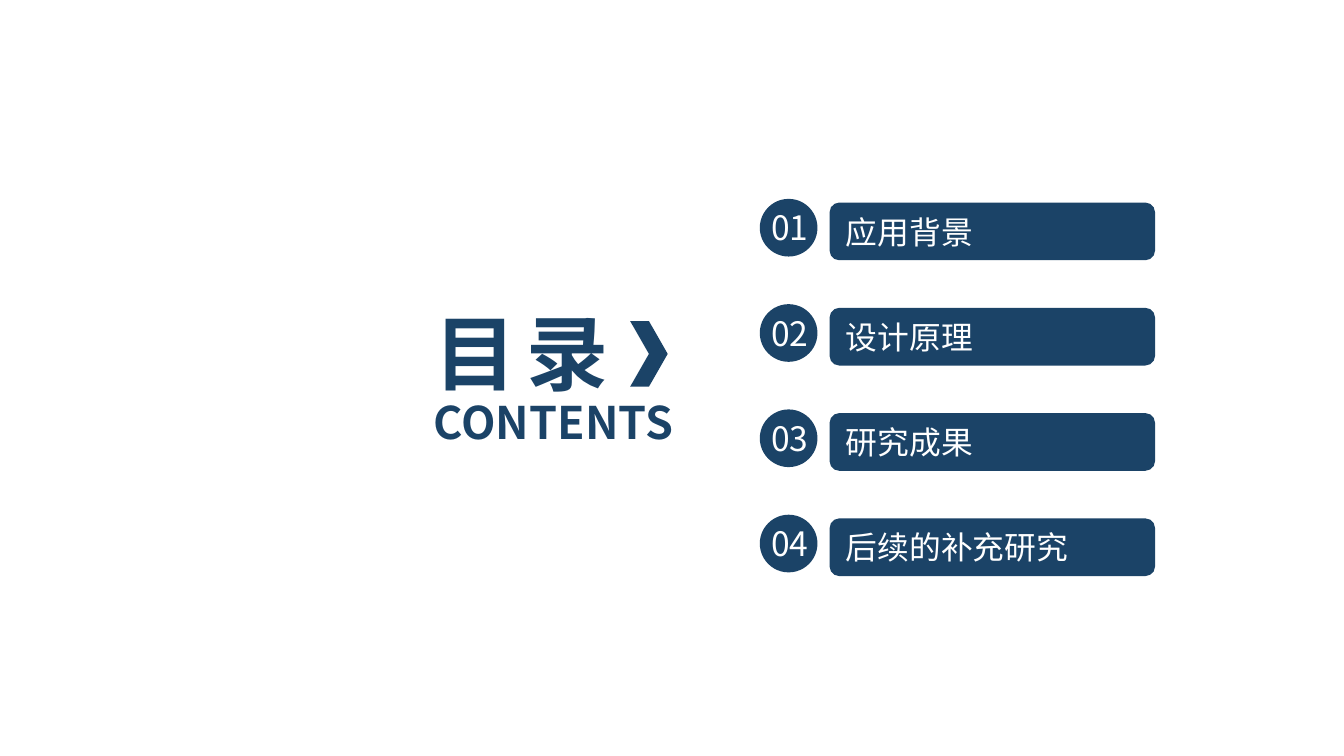
import pptx
import pptx.dml.color
import pptx.enum.shapes
import pptx.enum.text
import pptx.oxml.ns
import pptx.util
from lxml import etree

Cm = pptx.util.Cm
SHAPE = pptx.enum.shapes.MSO_SHAPE
ALIGN = pptx.enum.text.PP_ALIGN

FONT = "Noto Sans CJK SC"
NAVY = "1B4367"
WHITE = "FFFFFF"
TOPICS = ["应用背景", "设计原理", "研究成果", "后续的补充研究"]
ROW_TOP = 3.76
ROW_PITCH = 1.99


def color(hex_string):
    return pptx.dml.color.RGBColor.from_string(hex_string)


def write(sp, text, size, hex_string, align=ALIGN.LEFT, bold=False, spacing=None, wrap=True):
    """Fill a shape with one line of vertically centred text."""
    tf = sp.text_frame
    tf.text = text
    tf.word_wrap = wrap
    tf.auto_size = pptx.enum.text.MSO_AUTO_SIZE.NONE
    tf.vertical_anchor = pptx.enum.text.MSO_ANCHOR.MIDDLE
    p = tf.paragraphs[0]
    p.alignment = align
    p.font.name = FONT
    p.font.size = pptx.util.Pt(size)
    p.font.bold = bold
    p.font.color.rgb = color(hex_string)
    # East Asian glyphs and letter spacing are read from the run.
    r_pr = p.runs[0].font._element
    etree.SubElement(r_pr, pptx.oxml.ns.qn("a:ea"), typeface=FONT)
    if spacing is not None:
        r_pr.set("spc", str(round(spacing * 100)))


def add_navy_shape(shapes, kind, left, top, width, height):
    sp = shapes.add_shape(kind, Cm(left), Cm(top), Cm(width), Cm(height))
    sp.shadow.inherit = False
    sp.fill.solid()
    sp.fill.fore_color.rgb = color(NAVY)
    sp.line.fill.background()
    return sp


def add_text(shapes, left, top, width, height, text, size, hex_string, **style):
    sp = shapes.add_textbox(Cm(left), Cm(top), Cm(width), Cm(height))
    write(sp, text, size, hex_string, **style)


def add_title(s):
    title = s.shapes.title
    title.left, title.top = Cm(7.95), Cm(5.59)
    title.width, title.height = Cm(5.97), Cm(2.13)
    write(title, "目 录", 44, NAVY, bold=True, spacing=-2.2)


def add_topic(s, number, topic, top):
    bar = add_navy_shape(s.shapes, SHAPE.ROUNDED_RECTANGLE, 15.68, top + 0.07, 6.15, 1.09)
    write(bar, topic, 17, WHITE)
    badge = s.shapes.add_group_shape().shapes
    add_navy_shape(badge, SHAPE.OVAL, 14.36, top, 1.09, 1.09)
    add_text(badge, 14.27, top + 0.03, 1.32, 1.02, f"{number:02d}", 18, WHITE,
             align=ALIGN.CENTER, wrap=False)


def main():
    prs = pptx.Presentation()
    prs.slide_width, prs.slide_height = Cm(25.4), Cm(14.29)
    s = prs.slides.add_slide(prs.slide_layouts[5])
    add_title(s)
    add_text(s.shapes, 7.95, 7.34, 5.87, 1.27, "CONTENTS", 24, NAVY, bold=True)
    add_navy_shape(s.shapes, SHAPE.CHEVRON, 11.91, 6.07, 0.71, 1.24)
    for i, topic in enumerate(TOPICS):
        add_topic(s, i + 1, topic, ROW_TOP + i * ROW_PITCH)
    prs.save("out.pptx")


if __name__ == "__main__":
    main()
